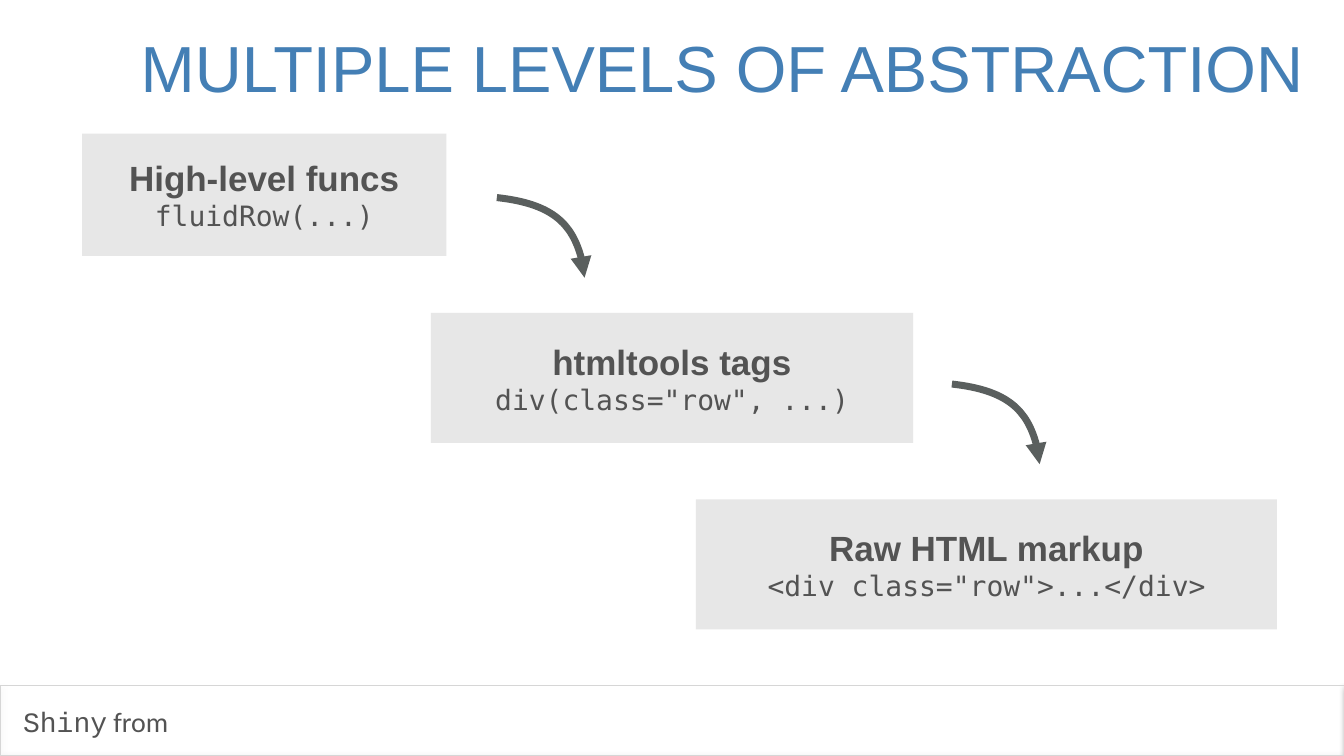
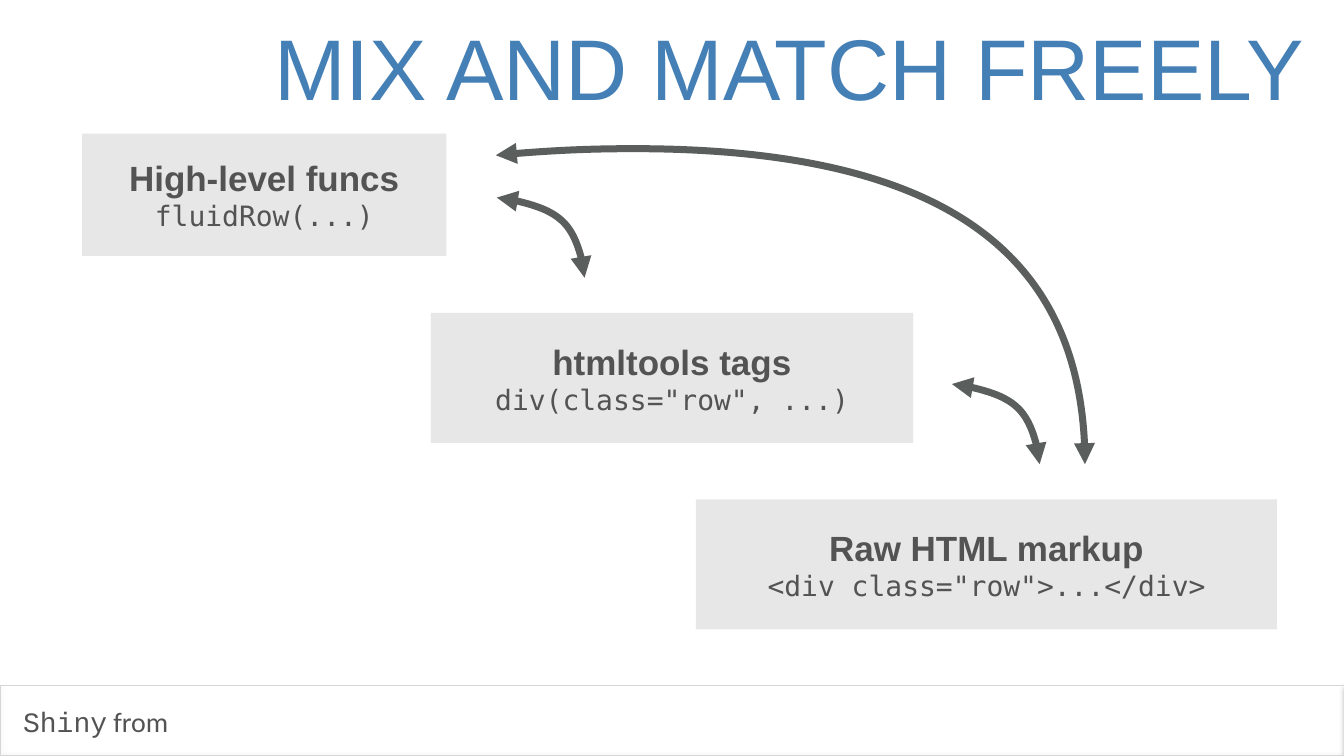
from dataclasses import dataclass

from lxml.etree import SubElement
from pptx import Presentation
from pptx.dml.color import RGBColor
from pptx.enum.shapes import MSO_SHAPE as Preset
from pptx.enum.text import MSO_ANCHOR as Anchor, MSO_AUTO_SIZE as AutoSize, PP_ALIGN as Align
from pptx.oxml.ns import qn
from pptx.util import Inches, Pt


@dataclass(frozen=True)
class Theme:
    title_color: RGBColor = RGBColor.from_string("447FB5")
    text_color: RGBColor = RGBColor.from_string("535353")
    box_fill: RGBColor = RGBColor.from_string("E7E7E7")
    arrow_color: RGBColor = RGBColor.from_string("5A5F5E")
    footer_line: RGBColor = RGBColor.from_string("D6D6D6")
    sans_font: str = "Arial"
    code_font: str = "DejaVu Sans Mono"
    footer_font: str = "Calibri"
    footer_code_font: str = "Courier New"
    heading_size: int = 50
    body_size: int = 40
    arrow_width: int = 10
    inset: float = 0.06


THEME = Theme()
SLIDE_SIZE = (26.67, 15)
TITLE_BOX = (0.73, 0.23, 25.21, 2.18)
FOOTER_BOX = (0.01, 13.6, 26.67, 1.39)

LEVELS = [
    ((1.63, 2.65, 7.23, 2.43), "High-level funcs", "fluidRow(...)"),
    ((8.55, 6.21, 9.57, 2.58), "htmltools tags", 'div(class="row", ...)'),
    ((13.81, 9.91, 11.53, 2.58), "Raw HTML markup", '<div class="row">...</div>'),
]

# Curves are a start point followed by three points for each cubic segment.
STEP_STARTS = [(9.86, 3.92), (18.89, 7.62)]
STEP_CURVE = [(0, 0), (1.09, 0.12), (1.67, 0.65), (1.74, 1.59)]
LONG_START = (9.84, 3.08)
LONG_CURVE = [(0, 0), (0.98, -0.09), (1.89, -0.13), (2.74, -0.13),
              (8.71, -0.13), (11.7, 1.96), (11.69, 6.13)]


def inches(values):
    return [Inches(value) for value in values]


def set_frame(frame, wrap=True):
    frame.word_wrap = wrap
    frame.vertical_anchor = Anchor.MIDDLE
    frame.margin_left = frame.margin_right = Inches(THEME.inset)
    frame.margin_top = frame.margin_bottom = Inches(THEME.inset)


def add_run(paragraph, text, font_name, size, color=THEME.text_color, bold=False):
    run = paragraph.add_run()
    run.text = text
    run.font.name = font_name
    run.font.size = Pt(size)
    run.font.color.rgb = color
    run.font.bold = bold


def add_rectangle(slide, box):
    shape = slide.shapes.add_shape(Preset.RECTANGLE, *inches(box))
    shape.shadow.inherit = False
    return shape


def add_title(slide, box, text, size):
    frame = slide.shapes.add_textbox(*inches(box)).text_frame
    set_frame(frame)
    paragraph = frame.paragraphs[0]
    paragraph.alignment = Align.RIGHT
    add_run(paragraph, text, THEME.sans_font, size, THEME.title_color)


def add_footer(slide, box):
    left, top, _, _ = box
    band = add_rectangle(slide, box)
    band.fill.background()
    band.line.color.rgb = THEME.footer_line
    band.line.width = Pt(1)
    effects = band.element.spPr.find(qn("a:effectLst"))
    shadow = SubElement(effects, qn("a:outerShdw"), blurRad=str(Pt(4)),
                        dist=str(Pt(1.6)), dir="5400000", rotWithShape="0")
    shadow_color = SubElement(shadow, qn("a:srgbClr"), val="000000")
    SubElement(shadow_color, qn("a:alpha"), val="50000")

    label_box = (left + 0.27, top + 0.33, 3.15, 0.78)
    frame = slide.shapes.add_textbox(*inches(label_box)).text_frame
    set_frame(frame, wrap=False)
    frame.margin_left = Inches(0.18)
    frame.auto_size = AutoSize.SHAPE_TO_FIT_TEXT
    paragraph = frame.paragraphs[0]
    add_run(paragraph, "Shiny", THEME.footer_code_font, THEME.body_size)
    add_run(paragraph, " from", THEME.footer_font, THEME.body_size)


def add_level(slide, box, heading, code):
    shape = add_rectangle(slide, box)
    shape.fill.solid()
    shape.fill.fore_color.rgb = THEME.box_fill
    shape.line.fill.background()
    frame = shape.text_frame
    set_frame(frame)
    heading_line, code_line = frame.paragraphs[0], frame.add_paragraph()
    heading_line.alignment = code_line.alignment = Align.CENTER
    add_run(heading_line, heading, THEME.sans_font, THEME.heading_size, bold=True)
    add_run(code_line, code, THEME.code_font, THEME.body_size)


def bend_segments(shape):
    """Turn each three straight segments of the outline into one cubic curve."""
    path = shape.element.find(".//" + qn("a:path"))
    lines = path.findall(qn("a:lnTo"))
    for first in range(0, len(lines), 3):
        curve = SubElement(path, qn("a:cubicBezTo"))
        for line in lines[first:first + 3]:
            curve.append(line[0])
            path.remove(line)


def add_curved_arrow(slide, start, curve, two_way):
    left, top = start
    points = [inches((left + x, top + y)) for x, y in curve]
    builder = slide.shapes.build_freeform(*points[0])
    builder.add_line_segments(points[1:], close=False)
    shape = builder.convert_to_shape()
    bend_segments(shape)
    shape.shadow.inherit = False
    shape.fill.background()
    shape.line.color.rgb = THEME.arrow_color
    shape.line.width = Pt(THEME.arrow_width)
    line = shape.element.spPr.find(qn("a:ln"))
    for end in ("a:headEnd", "a:tailEnd") if two_way else ("a:tailEnd",):
        SubElement(line, qn(end), type="triangle")


def add_levels_slide(presentation, title, title_size, two_way):
    slide = presentation.slides.add_slide(presentation.slide_layouts[6])
    add_footer(slide, FOOTER_BOX)
    add_title(slide, TITLE_BOX, title, title_size)
    for box, heading, code in LEVELS:
        add_level(slide, box, heading, code)
    for start in STEP_STARTS:
        add_curved_arrow(slide, start, STEP_CURVE, two_way)
    return slide


def main():
    presentation = Presentation()
    presentation.slide_width, presentation.slide_height = inches(SLIDE_SIZE)
    add_levels_slide(presentation, "MULTIPLE LEVELS OF ABSTRACTION", 93, two_way=False)
    mix_slide = add_levels_slide(presentation, "MIX AND MATCH FREELY", 123, two_way=True)
    add_curved_arrow(mix_slide, LONG_START, LONG_CURVE, two_way=True)
    presentation.save("out.pptx")


if __name__ == "__main__":
    main()
